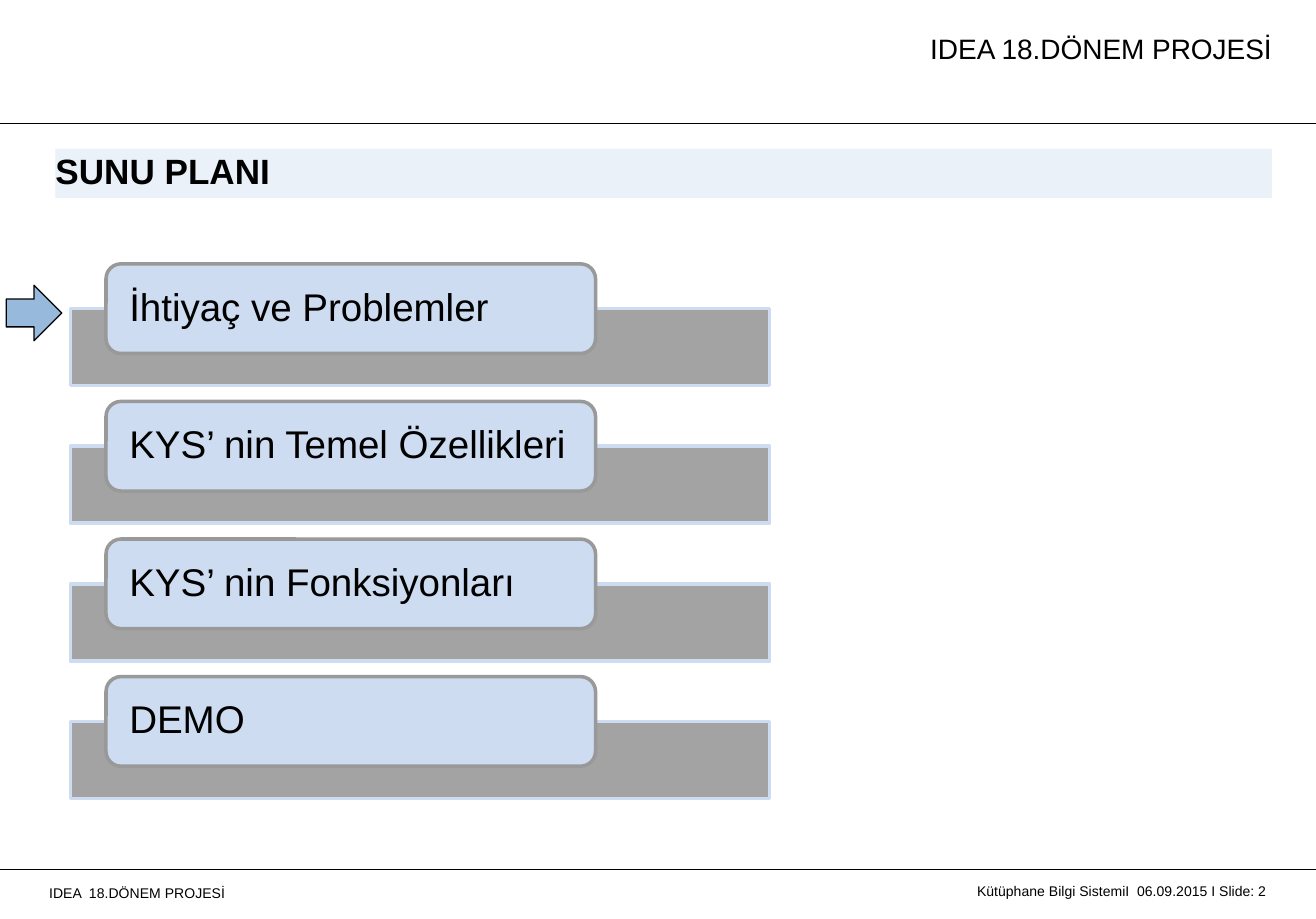
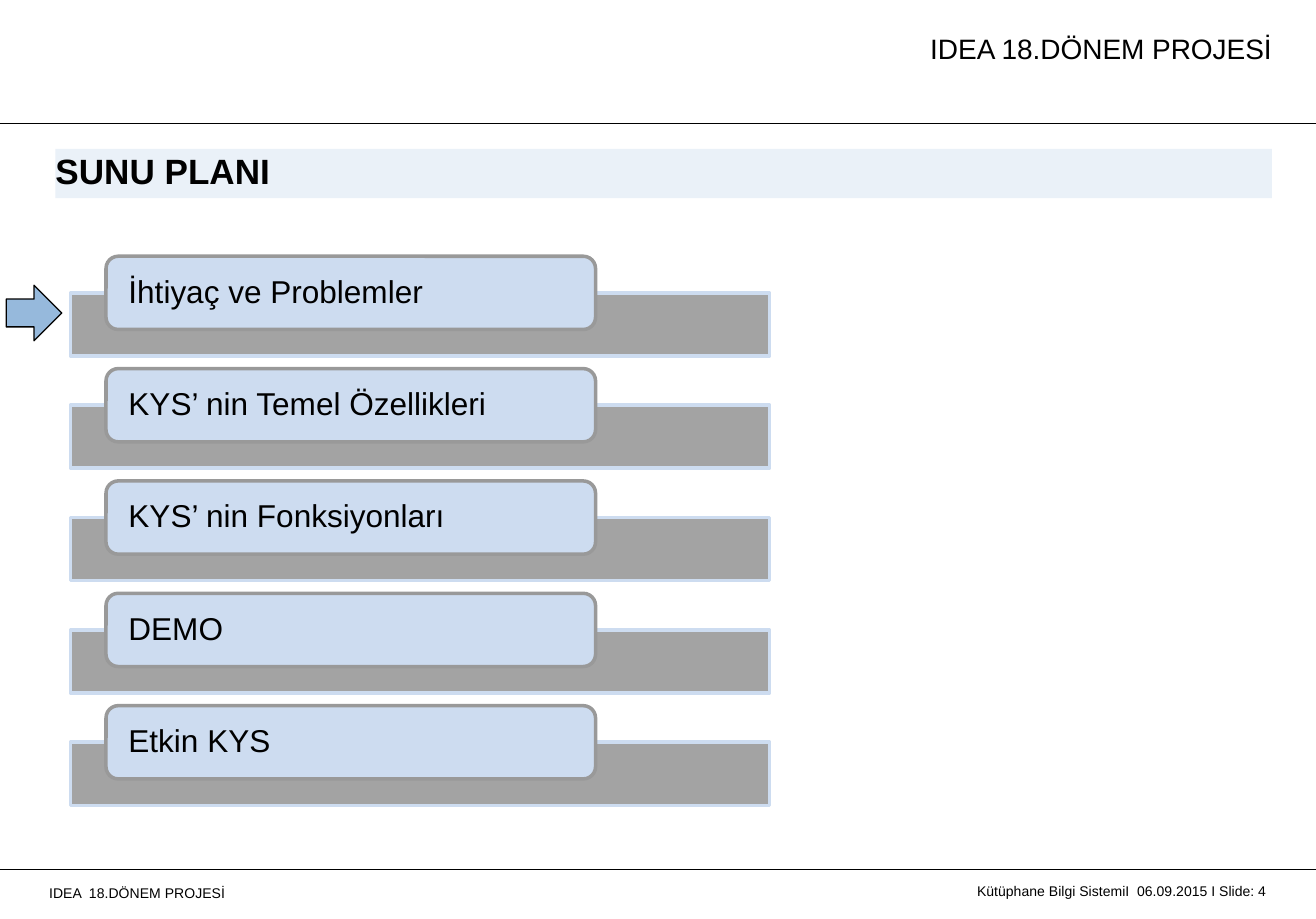
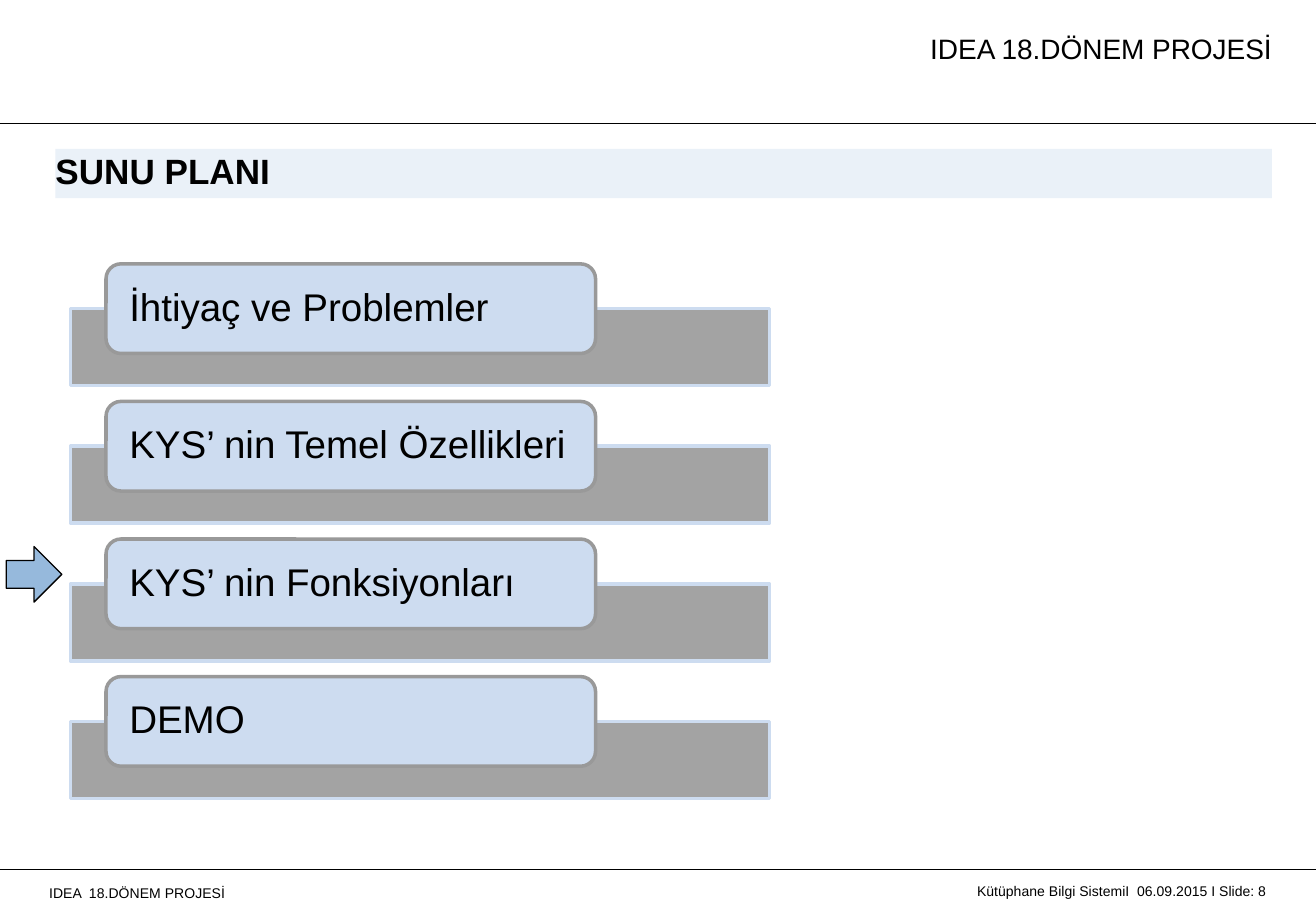
from dataclasses import dataclass

from lxml import etree
from pptx import Presentation
from pptx.dml.color import RGBColor
from pptx.enum import shapes, text
from pptx.oxml import ns
from pptx.util import Inches, Pt

# Shared look
BLACK = RGBColor(0x00, 0x00, 0x00)
GRAY = RGBColor(0x99, 0x99, 0x99)
PALE_BLUE = RGBColor(0xCD, 0xDC, 0xF0)
TITLE_BLUE = RGBColor(0xEA, 0xF1, 0xF8)
ARROW_BLUE = RGBColor(0x96, 0xB9, 0xDC)
FONT = "Arial"
WIDTH, HEIGHT = 10.43, 7.28
RULE_TOPS = (0.98, 6.89)
PROJECT = "IDEA 18.DÖNEM PROJESİ"
TOPICS = ("İhtiyaç ve Problemler", "KYS’ nin Temel Özellikleri",
          "KYS’ nin Fonksiyonları", "DEMO")


@dataclass(frozen=True)
class Box:
    left: float
    top: float
    width: float
    height: float

    def lengths(self) -> tuple:
        return tuple(Inches(v) for v in (self.left, self.top, self.width, self.height))


@dataclass(frozen=True)
class TextStyle:
    size: float
    bold: bool = False
    align: text.PP_ALIGN = text.PP_ALIGN.LEFT
    anchor: text.MSO_ANCHOR = text.MSO_ANCHOR.TOP
    margin_x: float = 0
    margin_y: float = 0
    line_spacing: float = 1.0


@dataclass(frozen=True)
class PlanLayout:
    """Measures of a topic list; the bar starts at half the label's height."""
    top: float
    pitch: float
    label_height: float
    bar_height: float
    font_size: float


@dataclass(frozen=True)
class PlanSlide:
    number: int
    topics: tuple[str, ...]
    layout: PlanLayout
    arrow_top: float


FOUR_TOPICS = PlanLayout(2.09, 1.09, 0.71, 0.61, 22)
FIVE_TOPICS = PlanLayout(2.03, 0.89, 0.58, 0.5, 18)

PLAN_SLIDES = (
    PlanSlide(2, TOPICS, FOUR_TOPICS, 2.26),
    PlanSlide(4, TOPICS + ("Etkin KYS",), FIVE_TOPICS, 2.26),
    PlanSlide(8, TOPICS, FOUR_TOPICS, 4.33),
)


def write(shape, words: str, style: TextStyle) -> None:
    frame = shape.text_frame
    frame_format = {
        "word_wrap": True, "vertical_anchor": style.anchor,
        "margin_left": Inches(style.margin_x), "margin_right": Inches(style.margin_x),
        "margin_top": Inches(style.margin_y), "margin_bottom": Inches(style.margin_y),
    }
    for name, value in frame_format.items():
        setattr(frame, name, value)
    paragraph = frame.paragraphs[0]
    paragraph.alignment = style.align
    paragraph.line_spacing = style.line_spacing
    run = paragraph.add_run()
    run.text = words
    font_format = {"name": FONT, "size": Pt(style.size), "bold": style.bold}
    for name, value in font_format.items():
        setattr(run.font, name, value)
    run.font.color.rgb = BLACK


def add_text(slide, box: Box, words: str, style: TextStyle) -> None:
    write(slide.shapes.add_textbox(*box.lengths()), words, style)


def add_block(slide, kind: shapes.MSO_SHAPE, box: Box, fill: RGBColor,
              line: RGBColor | None = None, line_width: float = 0.75):
    block = slide.shapes.add_shape(kind, *box.lengths())
    block.shadow.inherit = False
    block.fill.solid()
    block.fill.fore_color.rgb = fill
    if line is None:
        block.line.fill.background()
    else:
        block.line.color.rgb = line
        block.line.width = Pt(line_width)
    return block


def set_opacity(shape, percent: int) -> None:
    color = shape.fill._xPr.find(ns.qn("a:solidFill"))[0]
    etree.SubElement(color, ns.qn("a:alpha"), val=str(percent * 1000))


def add_rule(slide, top: float) -> None:
    rule = slide.shapes.add_connector(
        shapes.MSO_CONNECTOR.STRAIGHT, Inches(0), Inches(top), Inches(WIDTH), Inches(top))
    rule.line.color.rgb = BLACK
    rule.line.width = Pt(0.75)
    etree.SubElement(rule._element.spPr, ns.qn("a:effectLst"))


def add_frame(slide, number: int) -> None:
    # Header and footer
    for top in RULE_TOPS:
        add_rule(slide, top)
    right = text.PP_ALIGN.RIGHT
    add_text(slide, Box(0.39, 7.01, 3.94, 0.24), "IDEA  18.DÖNEM PROJESİ", TextStyle(8))
    add_text(slide, Box(4.33, 6.94, 5.71, 0.24),
             f"Kütüphane Bilgi SistemiI  06.09.2015 I Slide: {number}",
             TextStyle(8, align=right, anchor=text.MSO_ANCHOR.MIDDLE))
    add_text(slide, Box(6.59, 0.2, 3.59, 0.37), PROJECT,
             TextStyle(16, align=right, margin_x=0.1, margin_y=0.05))
    # Title band
    title = add_block(slide, shapes.MSO_SHAPE.RECTANGLE,
                      Box(0.44, 1.18, 9.64, 0.39), TITLE_BLUE)
    write(title, "SUNU PLANI", TextStyle(20, bold=True))


def add_topic(slide, topic: str, top: float, layout: PlanLayout) -> None:
    bar = add_block(slide, shapes.MSO_SHAPE.RECTANGLE,
                    Box(0.56, top + layout.label_height / 2, 5.54, layout.bar_height),
                    GRAY, PALE_BLUE, 2)
    set_opacity(bar, 90)
    label = add_block(slide, shapes.MSO_SHAPE.ROUNDED_RECTANGLE,
                      Box(0.84, top, 3.88, layout.label_height), PALE_BLUE, GRAY, 2)
    write(label, topic, TextStyle(layout.font_size, anchor=text.MSO_ANCHOR.MIDDLE,
                                  margin_x=0.15, line_spacing=0.9))


def add_plan(presentation, plan: PlanSlide) -> None:
    slide = presentation.slides.add_slide(presentation.slide_layouts[6])
    add_frame(slide, plan.number)
    for row, topic in enumerate(plan.topics):
        add_topic(slide, topic, plan.layout.top + row * plan.layout.pitch, plan.layout)
    # Marker of the current topic
    add_block(slide, shapes.MSO_SHAPE.RIGHT_ARROW,
              Box(0.05, plan.arrow_top, 0.44, 0.44), ARROW_BLUE, BLACK)


def main() -> None:
    presentation = Presentation()
    presentation.slide_width = Inches(WIDTH)
    presentation.slide_height = Inches(HEIGHT)
    for plan in PLAN_SLIDES:
        add_plan(presentation, plan)
    presentation.save("out.pptx")


if __name__ == "__main__":
    main()
